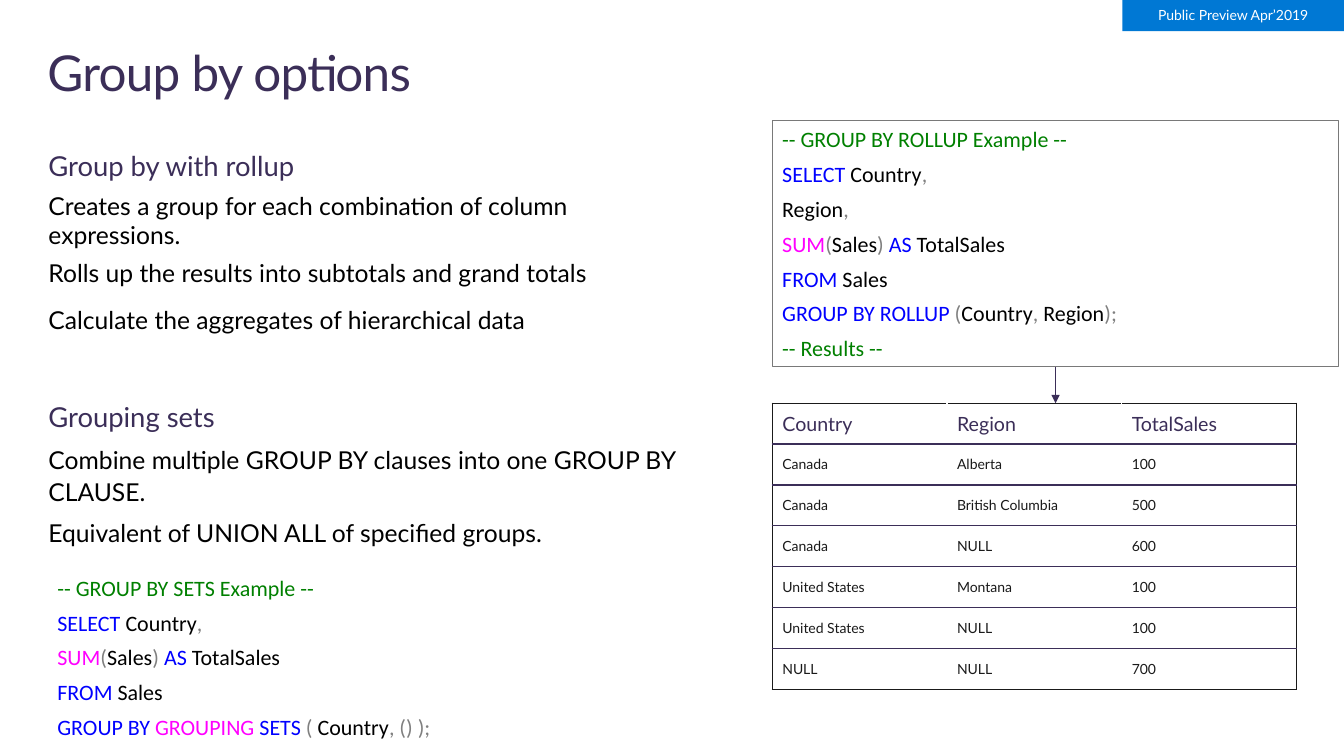
from dataclasses import dataclass
from typing import NamedTuple

from lxml import etree
from pptx import Presentation, util as u
from pptx.dml.color import RGBColor
from pptx.enum import shapes, text
from pptx.oxml.ns import qn


@dataclass(frozen=True)
class Theme:
    plum: str = "3B2E58"
    ink: str = "1A1A1A"
    black: str = "000000"
    white: str = "FFFFFF"
    azure: str = "0078D4"
    frame: str = "797979"
    note: str = "008000"
    word: str = "0000FF"
    call: str = "FF00FF"
    mark: str = "808080"
    face: str = "Lato"
    mono: str = "Calibri"
    title: float = 35.3
    head: float = 19.6
    body: float = 17.6
    code: float = 15.7
    label: float = 14
    small: float = 10


T = Theme()


class Box(NamedTuple):
    """Left, top, width and height in percent of the slide."""
    left: float
    top: float
    width: float
    height: float


class Run(NamedTuple):
    text: str
    color: str


class Para(NamedTuple):
    runs: list[Run]
    size: float
    after: float = 0
    lead: float = 1
    face: str = T.face


deck = Presentation()
deck.slide_width, deck.slide_height = u.Inches(13.33), u.Inches(7.5)
slide = deck.slides.add_slide(deck.slide_layouts[1])


def col(share: float) -> int:
    return int(deck.slide_width * share / 100)


def row(share: float) -> int:
    return int(deck.slide_height * share / 100)


def emu(box: Box) -> tuple[int, int, int, int]:
    return col(box.left), row(box.top), col(box.width), row(box.height)


def place(item, box: Box) -> None:
    item.left, item.top, item.width, item.height = emu(box)


def write(frame, paras: list[Para], align=text.PP_ALIGN.LEFT) -> None:
    frame.word_wrap = True
    for i, para in enumerate(paras):
        p = frame.add_paragraph() if i else frame.paragraphs[0]
        props = p._p.get_or_add_pPr()
        props.set("marL", "0")
        props.set("indent", "0")
        etree.SubElement(props, qn("a:buNone"))
        p.alignment, p.line_spacing = align, para.lead
        p.space_before, p.space_after = u.Pt(0), u.Pt(para.after)
        for part in para.runs:
            r = p.add_run()
            r.text = part.text
            r.font.name, r.font.size, r.font.bold = para.face, u.Pt(para.size), False
            r.font.color.rgb = RGBColor.from_string(part.color)


def inset(frame, side: float, top: float, low: float, anchor) -> None:
    frame.margin_left = frame.margin_right = u.Inches(side)
    frame.margin_top, frame.margin_bottom = u.Inches(top), u.Inches(low)
    frame.vertical_anchor = anchor
    frame.auto_size = text.MSO_AUTO_SIZE.NONE


def panel(box: Box):
    shape = slide.shapes.add_shape(shapes.MSO_SHAPE.RECTANGLE, *emu(box))
    shape.shadow.inherit = False
    return shape


def script(frame, lines: list[list[Run]]) -> None:
    inset(frame, 0.1, 0.05, 0.05, text.MSO_ANCHOR.TOP)
    write(frame, [Para(line, T.code, 6, face=T.mono) for line in lines])


def edge(cell, side: str, color: str) -> None:
    line = etree.SubElement(cell._tc.get_or_add_tcPr(), qn(f"a:ln{side}"), w=str(u.Pt(1)))
    fill = etree.SubElement(line, qn("a:solidFill"))
    etree.SubElement(fill, qn("a:srgbClr"), val=color)


def grid(box: Box, data: list[tuple[str, ...]]) -> None:
    rows, cols = len(data), len(data[0])
    table = slide.shapes.add_table(rows, cols, *emu(box)).table
    table.first_row = table.horz_banding = False
    for y, record in enumerate(data):
        for x, value in enumerate(record):
            cell = table.cell(y, x)
            edge(cell, "L", T.white if x else T.ink)
            edge(cell, "R", T.white if x < cols - 1 else T.ink)
            edge(cell, "T", T.plum if y else T.ink)
            edge(cell, "B", T.plum if y < rows - 1 else T.ink)
            cell.fill.background()
            cell.vertical_anchor = text.MSO_ANCHOR.MIDDLE
            color, size = (T.ink, T.small) if y else (T.plum, T.label)
            write(cell.text_frame, [Para([Run(value, color)], size)])


def arrow(source, low: float) -> None:
    """Drop an arrow from the bottom of source to the given row."""
    x = source.left + source.width // 2
    line = slide.shapes.add_connector(
        shapes.MSO_CONNECTOR.STRAIGHT, x, source.top + source.height, x, row(low))
    line.begin_connect(source, 2)
    line.line.color.rgb = RGBColor.from_string(T.plum)
    line.line.width = u.Pt(0.75)
    etree.SubElement(line.line._get_or_add_ln(), qn("a:tailEnd"), type="triangle")
    etree.SubElement(line._element.spPr, qn("a:effectLst"))


def main() -> None:
    title, body = slide.shapes.title, slide.placeholders[1]
    place(title, Box(3.53, 3.2, 32.26, 10.8))
    inset(title.text_frame, 0, 0.18, 0, text.MSO_ANCHOR.TOP)
    write(title.text_frame, [Para([Run("Group by options", T.plum)], T.title)])
    title.text_frame.paragraphs[0].runs[0]._r.get_or_add_rPr().set("spc", "-50")

    place(body, Box(3.6, 19.33, 48.46, 58.8))
    inset(body.text_frame, 0, 0, 0, text.MSO_ANCHOR.TOP)
    points = [
        ("Creates a group for each combination of column expressions.", 6, 1),
        ("Rolls up the results into subtotals and grand totals", 12, 1),
        ("Calculate the aggregates of hierarchical data", 45, 1),
        ("Combine multiple GROUP BY clauses into one GROUP BY CLAUSE.", 6, 1.1),
        ("Equivalent of UNION ALL of specified groups.", 6, 1.1),
    ]
    items = [Para([Run(words, T.black)], T.body, after, lead)
             for words, after, lead in points]
    heads = [Para([Run(words, T.plum)], T.head, 6, 1.1)
             for words in ("Group by with rollup", "Grouping sets")]
    write(body.text_frame, [heads[0], *items[:3], heads[1], *items[3:]])

    comma = Run(",", T.mark)
    pick = [Run("SELECT", T.word), Run(" Country", T.black), comma]
    total = [Run("SUM", T.call), Run("(", T.mark), Run("Sales", T.black),
             Run(") ", T.mark), Run("AS ", T.word), Run("TotalSales", T.black)]
    origin = [Run("FROM", T.word), Run(" Sales", T.black)]

    rollup = panel(Box(57.46, 16, 42.16, 32.53))
    rollup.fill.background()
    rollup.line.color.rgb = RGBColor.from_string(T.frame)
    rollup.line.width = u.Pt(0.75)
    script(rollup.text_frame, [
        [Run("-- GROUP BY ROLLUP Example --", T.note)],
        pick, [Run("Region", T.black), comma], total, origin,
        [Run("GROUP BY ROLLUP ", T.word), Run("(", T.mark), Run("Country", T.black),
         comma, Run(" Region", T.black), Run(");", T.mark)],
        [Run("-- Results --", T.note)],
    ])

    grid(Box(57.46, 53.33, 39, 37.87), [
        ("Country", "Region", "TotalSales"),
        ("Canada", "Alberta", "100"),
        ("Canada", "British Columbia", "500"),
        ("Canada", "NULL", "600"),
        ("United States", "Montana", "100"),
        ("United States", "NULL", "100"),
        ("NULL", "NULL", "700"),
    ])

    badge = panel(Box(83.5, 0, 16.5, 4.13))
    badge.fill.solid()
    badge.fill.fore_color.rgb = RGBColor.from_string(T.azure)
    badge.line.fill.background()
    inset(badge.text_frame, 0.2, 0.16, 0.16, text.MSO_ANCHOR.MIDDLE)
    write(badge.text_frame, [Para([Run("Public Preview Apr’2019", T.white)], T.small,
                                  lead=0.9)], text.PP_ALIGN.CENTER)

    sets = slide.shapes.add_textbox(*emu(Box(3.53, 75.33, 50.04, 23.33)))
    script(sets.text_frame, [
        [Run("-- GROUP BY SETS Example --", T.note)],
        pick, total, origin,
        [Run("GROUP BY ", T.word), Run("GROUPING ", T.call), Run("SETS ", T.word),
         Run("(", T.mark), Run(" Country", T.black), Run(", () );", T.mark)],
    ])
    arrow(rollup, 53.33)
    deck.save("out.pptx")


if __name__ == "__main__":
    main()
